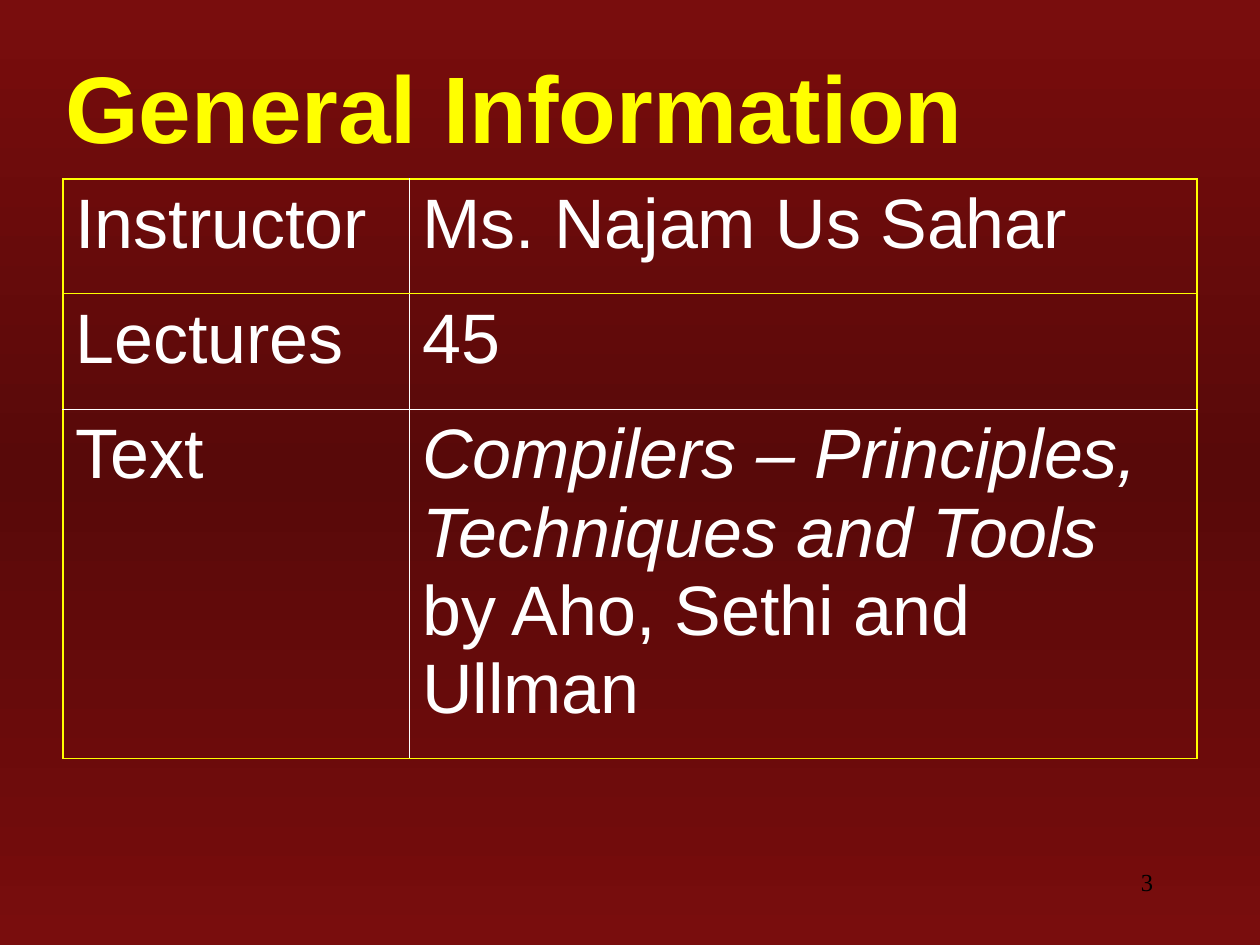
from copy import deepcopy
from dataclasses import dataclass
from typing import NamedTuple

from lxml.etree import SubElement
from pptx import Presentation
from pptx.dml.color import RGBColor
from pptx.enum.text import MSO_ANCHOR, MSO_AUTO_SIZE, PP_ALIGN
from pptx.oxml import parse_xml
from pptx.oxml.ns import nsdecls, qn
from pptx.util import Inches, Pt


@dataclass(frozen=True)
class Theme:
    """Colours, fonts and type sizes of the slide."""
    edge: str = "790D0D"
    middle: str = "580909"
    accent: str = "FFFF00"
    text: str = "FFFFFF"
    number: str = "000000"
    shadow: str = "C0C0C0"
    font: str = "Arial"
    number_font: str = "Times New Roman"
    title_size: float = 54
    body_size: float = 40
    number_size: float = 14
    rule: float = 1.08
    hairline: float = 0.5


class Part(NamedTuple):
    """A piece of cell text in one style."""
    text: str
    italic: bool = False


class Row(NamedTuple):
    """A table row: its label, its content and its height in inches."""
    label: Part
    content: tuple[Part, ...]
    height: float


T = Theme()
COLS = (2.75, 6.25)
ROWS = (
    Row(Part("Instructor"), (Part("Ms. Najam Us Sahar"),), 0.91),
    Row(Part("Lectures"), (Part("45"),), 0.92),
    Row(Part("Text"), (Part("Compilers – Principles, Techniques and Tools", True),
                       Part(" by Aho, Sethi and Ullman")), 2.77),
)


def add_text(p, text, *, size=T.body_size, font=T.font, color=T.text,
             bold=False, italic=False, align=PP_ALIGN.LEFT):
    """Add a formatted run to a paragraph and return it."""
    p.alignment = align
    r = p.add_run()
    r.text = text
    r.font.size, r.font.name = Pt(size), font
    r.font.bold, r.font.italic = bold, italic
    r.font.color.rgb = RGBColor.from_string(color)
    return r


def add_text_shadow(r) -> None:
    """Give a run a small offset shadow."""
    effect = parse_xml(
        f'<a:effectLst {nsdecls("a")}><a:outerShdw dist="35921" dir="2700000">'
        f'<a:srgbClr val="{T.shadow}"/></a:outerShdw></a:effectLst>')
    r.font.fill._xPr.find(qn("a:solidFill")).addnext(effect)


def set_background(s) -> None:
    """Fill the background with a vertical three-stop gradient."""
    fill = s.background.fill
    fill.gradient()
    fill.gradient_angle = 270
    stops = s._element.find(".//" + qn("a:gsLst"))
    stops.append(deepcopy(stops[0]))
    for i, (stop, color) in enumerate(zip(fill.gradient_stops, (T.edge, T.middle, T.edge))):
        stop.position = i / 2
        stop.color.rgb = RGBColor.from_string(color)


def set_border(cell, side: str, accent: bool) -> None:
    """Draw one cell side as an accent rule or a hairline."""
    width, color = (T.rule, T.accent) if accent else (T.hairline, T.text)
    ln = SubElement(cell._tc.get_or_add_tcPr(), qn(f"a:ln{side}"), w=str(Pt(width)))
    solid = SubElement(ln, qn("a:solidFill"))
    SubElement(solid, qn("a:srgbClr"), val=color)


def fill_cell(cell, parts: tuple[Part, ...], row: int, col: int) -> None:
    """Write a cell's text and set its borders and clear fill."""
    for part in parts:
        add_text(cell.text_frame.paragraphs[0], part.text, italic=part.italic)
    set_border(cell, "L", col == 0)
    set_border(cell, "R", col == len(COLS) - 1)
    set_border(cell, "T", row < 2)
    set_border(cell, "B", row != 1)
    cell.fill.background()


def add_info_table(s) -> None:
    """Add the table of course facts."""
    frame = s.shapes.add_table(len(ROWS), len(COLS), Inches(0.5), Inches(1.42),
                               Inches(sum(COLS)), Inches(sum(r.height for r in ROWS)))
    table = frame.table
    table.first_row = table.horz_banding = False
    for column, width in zip(table.columns, COLS):
        column.width = Inches(width)
    for i, row in enumerate(ROWS):
        table.rows[i].height = Inches(row.height)
        for j, parts in enumerate(((row.label,), row.content)):
            fill_cell(table.cell(i, j), parts, i, j)


def add_title(s, text: str) -> None:
    """Place and format the title."""
    sp = s.shapes.title
    sp.left, sp.top, sp.width, sp.height = map(Inches, (0.42, 0.42, 9.42, 0.83))
    tf = sp.text_frame
    tf.auto_size = MSO_AUTO_SIZE.NONE
    tf.vertical_anchor = MSO_ANCHOR.MIDDLE
    add_text_shadow(add_text(tf.paragraphs[0], text, size=T.title_size,
                             color=T.accent, bold=True))


def add_page_number(s, text: str) -> None:
    """Add the page number at the lower right."""
    sp = s.shapes.add_textbox(*map(Inches, (7.17, 6.83, 2.08, 0.5)))
    tf = sp.text_frame
    tf.word_wrap = True
    add_text(tf.paragraphs[0], text, size=T.number_size, font=T.number_font,
             color=T.number, align=PP_ALIGN.RIGHT)


def main() -> None:
    """Build and save the slide."""
    prs = Presentation()
    prs.slide_width, prs.slide_height = Inches(10), Inches(7.5)
    s = prs.slides.add_slide(prs.slide_layouts[5])
    set_background(s)
    add_page_number(s, "3")
    add_title(s, "General Information")
    add_info_table(s)
    prs.save("out.pptx")


if __name__ == "__main__":
    main()
